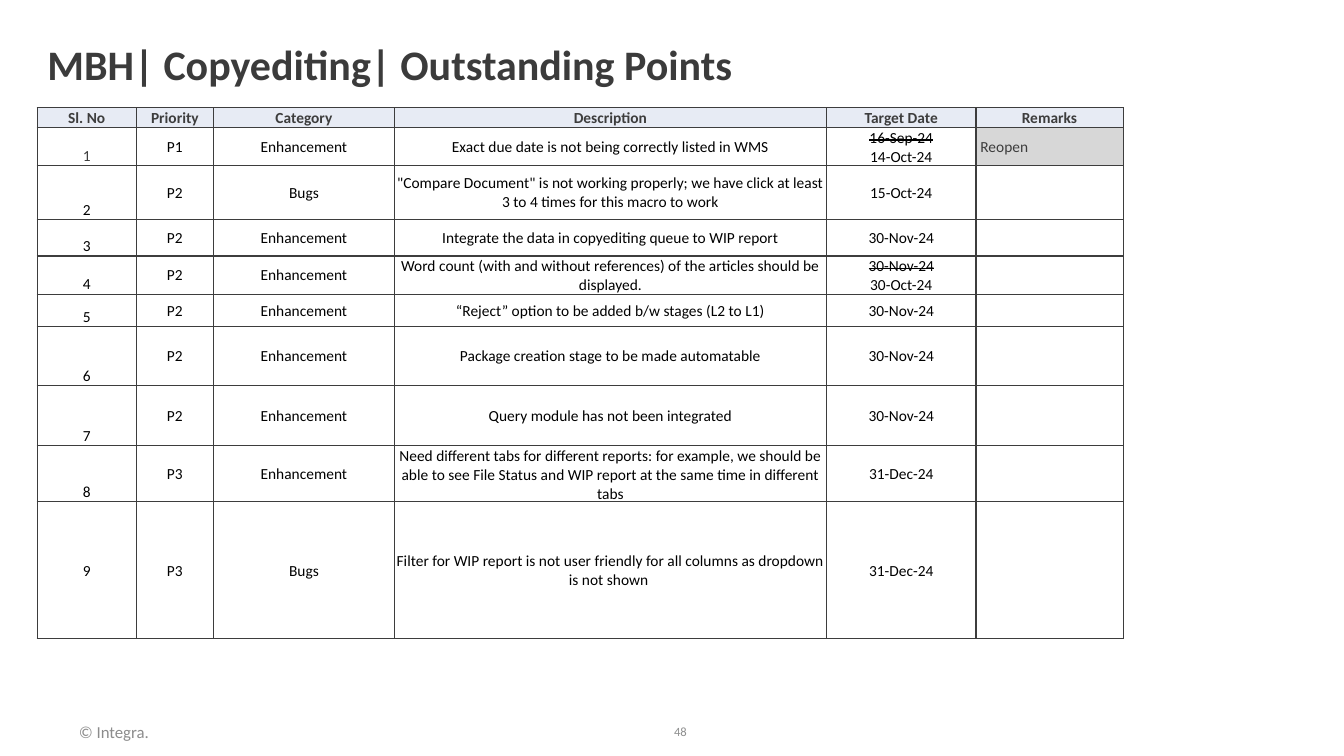
from lxml.etree import SubElement
from pptx import Presentation
from pptx.dml.color import RGBColor
from pptx.enum.text import MSO_ANCHOR as Anchor, MSO_AUTO_SIZE as AutoSize, PP_ALIGN as Align
from pptx.oxml.ns import qn
from pptx.util import Inches, Pt

TITLE_ONLY = 5
FONT = "Calibri"
INK, BLACK, WHITE = "3D3D3D", "000000", "FFFFFF"
HEADER_FILL, REOPEN_FILL = "E7EBF4", "D7D7D7"

COLUMNS = [0.98, 0.77, 1.79, 4.29, 1.48, 1.46]
ROWS = [0.18, 0.3, 0.54, 0.36, 0.32, 0.32, 0.59, 0.59, 0.39, 1.36]
HEADINGS = ["Sl. No", "Priority", "Category", "Description", "Target Date", "Remarks"]
# Priority, category, description, target dates (all but the last are struck out), remark
POINTS = [
    ("P1", "Enhancement", "Exact due date is not being correctly listed in WMS",
     ["16-Sep-24", "14-Oct-24"], " Reopen"),
    ("P2", "Bugs", '"Compare Document" is not working properly; we have click at least '
     "3 to 4 times for this macro to work", ["15-Oct-24"], ""),
    ("P2", "Enhancement", "Integrate the data in copyediting queue to WIP report",
     ["30-Nov-24"], ""),
    ("P2", "Enhancement", "Word count (with and without references) of the articles "
     "should be displayed.", ["30-Nov-24", "30-Oct-24"], ""),
    ("P2", "Enhancement", "“Reject” option to be added b/w stages (L2 to L1)",
     ["30-Nov-24"], ""),
    ("P2", "Enhancement", "Package creation stage to be made automatable", ["30-Nov-24"], ""),
    ("P2", "Enhancement", "Query module has not been integrated", ["30-Nov-24"], ""),
    ("P3", "Enhancement", "Need different tabs for different reports: for example, we should "
     "be able to see File Status and WIP report at the same time in different tabs",
     ["31-Dec-24"], ""),
    ("P3", "Bugs", "Filter for WIP report is not user friendly for all columns as dropdown "
     "is not shown ", ["31-Dec-24"], ""),
]


def color(value):
    return RGBColor.from_string(value)


def add_run(para, text, size, ink, bold=False, struck=False):
    run = para.add_run()
    run.text = text
    run.font.name = FONT
    run.font.size = Pt(size)
    run.font.bold = bold
    run.font.color.rgb = color(ink)
    if struck:
        run._r.get_or_add_rPr().set("strike", "sngStrike")


def add_title(page, box, text):
    title = page.shapes.title
    title.left, title.top, title.width, title.height = map(Inches, box)
    frame = title.text_frame
    frame.auto_size = AutoSize.NONE
    frame.word_wrap = True
    frame.vertical_anchor = Anchor.MIDDLE
    para = frame.paragraphs[0]
    para.alignment = Align.LEFT
    para.line_spacing = 0.9
    add_run(para, text, 30, "3B3B3B", bold=True)


def add_footer(page, box, text, size, ink, align):
    frame = page.shapes.add_textbox(*map(Inches, box)).text_frame
    frame.word_wrap = True
    frame.vertical_anchor = Anchor.MIDDLE
    para = frame.paragraphs[0]
    para.alignment = align
    add_run(para, text, size, ink)


def add_borders(cell):
    properties = cell._tc.get_or_add_tcPr()
    for side in ("lnL", "lnR", "lnT", "lnB"):
        line = SubElement(properties, qn(f"a:{side}"), w=str(Pt(1)))
        fill = SubElement(line, qn("a:solidFill"))
        SubElement(fill, qn("a:srgbClr"), val=INK)


def fill_cell(cell, lines, fill=WHITE, ink=BLACK, bold=False,
              align=Align.CENTER, anchor=Anchor.MIDDLE):
    """Write one paragraph per line, striking out all but the last."""
    add_borders(cell)
    cell.fill.solid()
    cell.fill.fore_color.rgb = color(fill)
    cell.margin_left = cell.margin_right = cell.margin_top = Inches(0.01)
    cell.margin_bottom = 0
    cell.vertical_anchor = anchor
    frame = cell.text_frame
    for index, text in enumerate(lines):
        para = frame.add_paragraph() if index else frame.paragraphs[0]
        para.alignment = align
        add_run(para, text, 11, ink, bold, struck=index < len(lines) - 1)


def add_points_table(page, left, top):
    table = page.shapes.add_table(
        len(ROWS), len(COLUMNS), Inches(left), Inches(top),
        Inches(sum(COLUMNS)), Inches(sum(ROWS))).table
    table.first_row = table.horz_banding = False
    for column, width in zip(table.columns, COLUMNS):
        column.width = Inches(width)
    for row, height in zip(table.rows, ROWS):
        row.height = Inches(height)

    for column, heading in enumerate(HEADINGS):
        fill_cell(table.cell(0, column), [heading], HEADER_FILL, INK, bold=True)
    for number, (priority, category, description, dates, remark) in enumerate(POINTS, 1):
        cells = table.rows[number].cells
        fill_cell(cells[0], [str(number)], ink=INK if number == 1 else BLACK,
                  anchor=Anchor.MIDDLE if number == len(POINTS) else Anchor.BOTTOM)
        for column, lines in enumerate(([priority], [category], [description], dates), 1):
            fill_cell(cells[column], lines)
        fill_cell(cells[5], [remark] if remark else [],
                  REOPEN_FILL if remark else WHITE, INK, align=Align.LEFT)


def main():
    deck = Presentation()
    deck.slide_width, deck.slide_height = Inches(13.33), Inches(7.5)
    page = deck.slides.add_slide(deck.slide_layouts[TITLE_ONLY])
    add_title(page, (0.37, 0.26, 11.5, 0.81), "MBH| Copyediting| Outstanding Points")
    add_footer(page, (0.55, 7.06, 1.16, 0.4), "© Integra.", 12, "8C8C8C", Align.CENTER)
    add_footer(page, (6.43, 7.06, 0.48, 0.4), "48", 9, "8D8E8E", Align.RIGHT)
    add_points_table(page, 0.37, 1.07)
    deck.save("out.pptx")


if __name__ == "__main__":
    main()
